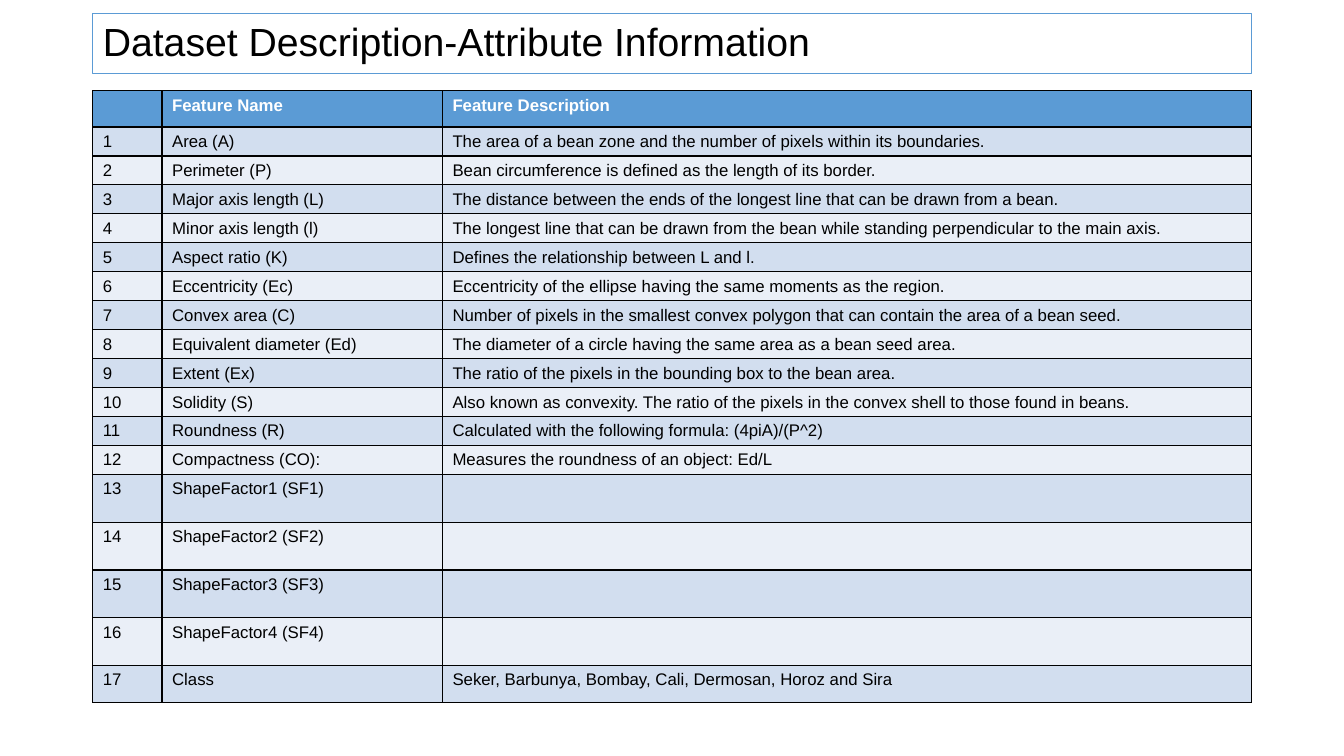
"""Build the slide that lists the attributes of the bean dataset."""
from dataclasses import dataclass

from lxml.etree import SubElement
from pptx import Presentation
from pptx.dml.color import RGBColor as Rgb
from pptx.enum.text import MSO_ANCHOR as Anchor, PP_ALIGN as Align
from pptx.oxml.ns import qn
from pptx.slide import Slide
from pptx.table import _Cell as Cell
from pptx.text.text import Font
from pptx.util import Pt


@dataclass(frozen=True)
class Theme:
    font: str = "Arial"
    title_size: int = 28
    table_size: int = 12
    ink: str = "000000"
    header_ink: str = "FFFFFF"
    accent: str = "5B9BD5"
    bands: tuple[str, str] = ("D2DEEF", "EAEFF7")
    title_line: float = 0.75
    grid_line: float = 1


@dataclass(frozen=True)
class Feature:
    name: str
    description: str = ""
    height: float = 20.7


THEME = Theme()
LEFT, WIDTH = 66.24, 828
TITLE_TOP, TITLE_HEIGHT = 9.7, 42.6
TABLE_TOP = 64.8
COLUMN_WIDTHS = (49.5, 200.3, 578.2)
HEADER = Feature("Feature Name", "Feature Description", 25.9)
TALL = 34.1
FEATURES = (
    Feature("Area (A)", "The area of a bean zone and the number of pixels within its boundaries."),
    Feature("Perimeter (P)", "Bean circumference is defined as the length of its border."),
    Feature("Major axis length (L)",
            "The distance between the ends of the longest line that can be drawn from a bean."),
    Feature("Minor axis length (l)",
            "The longest line that can be drawn from the bean while standing perpendicular to the main axis."),
    Feature("Aspect ratio (K)", "Defines the relationship between L and l."),
    Feature("Eccentricity (Ec)", "Eccentricity of the ellipse having the same moments as the region."),
    Feature("Convex area (C)",
            "Number of pixels in the smallest convex polygon that can contain the area of a bean seed."),
    Feature("Equivalent diameter (Ed)", "The diameter of a circle having the same area as a bean seed area."),
    Feature("Extent (Ex)", "The ratio of the pixels in the bounding box to the bean area."),
    Feature("Solidity (S)",
            "Also known as convexity. The ratio of the pixels in the convex shell to those found in beans."),
    Feature("Roundness (R)", "Calculated with the following formula: (4piA)/(P^2)"),
    Feature("Compactness (CO):", "Measures the roundness of an object: Ed/L"),
    *(Feature(f"ShapeFactor{n} (SF{n})", height=TALL) for n in range(1, 5)),
    Feature("Class", "Seker, Barbunya, Bombay, Cali, Dermosan, Horoz and Sira", 26.4),
)


def style_font(font: Font, size: float, color: str, bold: bool = False) -> None:
    font.name = THEME.font
    font.size = Pt(size)
    font.bold = bold
    font.color.rgb = Rgb.from_string(color)


def draw_title(slide: Slide, wording: str) -> None:
    title = slide.shapes.title
    title.left, title.top = Pt(LEFT), Pt(TITLE_TOP)
    title.width, title.height = Pt(WIDTH), Pt(TITLE_HEIGHT)
    title.line.color.rgb = Rgb.from_string(THEME.accent)
    title.line.width = Pt(THEME.title_line)
    title.text_frame.text = wording
    title.text_frame.vertical_anchor = Anchor.MIDDLE
    heading = title.text_frame.paragraphs[0]
    heading.alignment = Align.LEFT
    heading.line_spacing = 0.9
    style_font(heading.runs[0].font, THEME.title_size, THEME.ink)


def add_borders(cell: Cell) -> None:
    properties = cell._tc.get_or_add_tcPr()
    for position, side in enumerate(("a:lnL", "a:lnR", "a:lnT", "a:lnB")):
        border = properties.makeelement(qn(side), {"w": str(Pt(THEME.grid_line))})
        SubElement(SubElement(border, qn("a:solidFill")), qn("a:srgbClr"), val=THEME.ink)
        properties.insert(position, border)


def fill_cell(cell: Cell, wording: str, fill: str, ink: str, bold: bool) -> None:
    cell.fill.solid()
    cell.fill.fore_color.rgb = Rgb.from_string(fill)
    add_borders(cell)
    cell.text_frame.text = wording
    line = cell.text_frame.paragraphs[0]
    for run in line.runs:
        style_font(run.font, THEME.table_size, ink, bold)
    if not wording:
        SubElement(line._p, qn("a:endParaRPr"), sz=str(THEME.table_size * 100))


def draw_features(slide: Slide, entries: tuple[Feature, ...]) -> None:
    height = sum(entry.height for entry in entries)
    table = slide.shapes.add_table(len(entries), len(COLUMN_WIDTHS), Pt(LEFT), Pt(TABLE_TOP),
                                   Pt(WIDTH), Pt(height)).table
    for column, width in zip(table.columns, COLUMN_WIDTHS):
        column.width = Pt(width)
    for number, (row, entry) in enumerate(zip(table.rows, entries)):
        row.height = Pt(entry.height)
        is_header = number == 0
        fill = THEME.accent if is_header else THEME.bands[(number - 1) % 2]
        ink = THEME.header_ink if is_header else THEME.ink
        label = "" if is_header else str(number)
        for cell, wording in zip(row.cells, (label, entry.name, entry.description)):
            fill_cell(cell, wording, fill, ink, is_header)


def main() -> None:
    deck = Presentation()
    deck.slide_width, deck.slide_height = Pt(960), Pt(540)
    slide = deck.slides.add_slide(deck.slide_layouts.get_by_name("Title Only"))
    draw_title(slide, "Dataset Description-Attribute Information")
    draw_features(slide, (HEADER, *FEATURES))
    deck.save("out.pptx")


if __name__ == "__main__":
    main()
